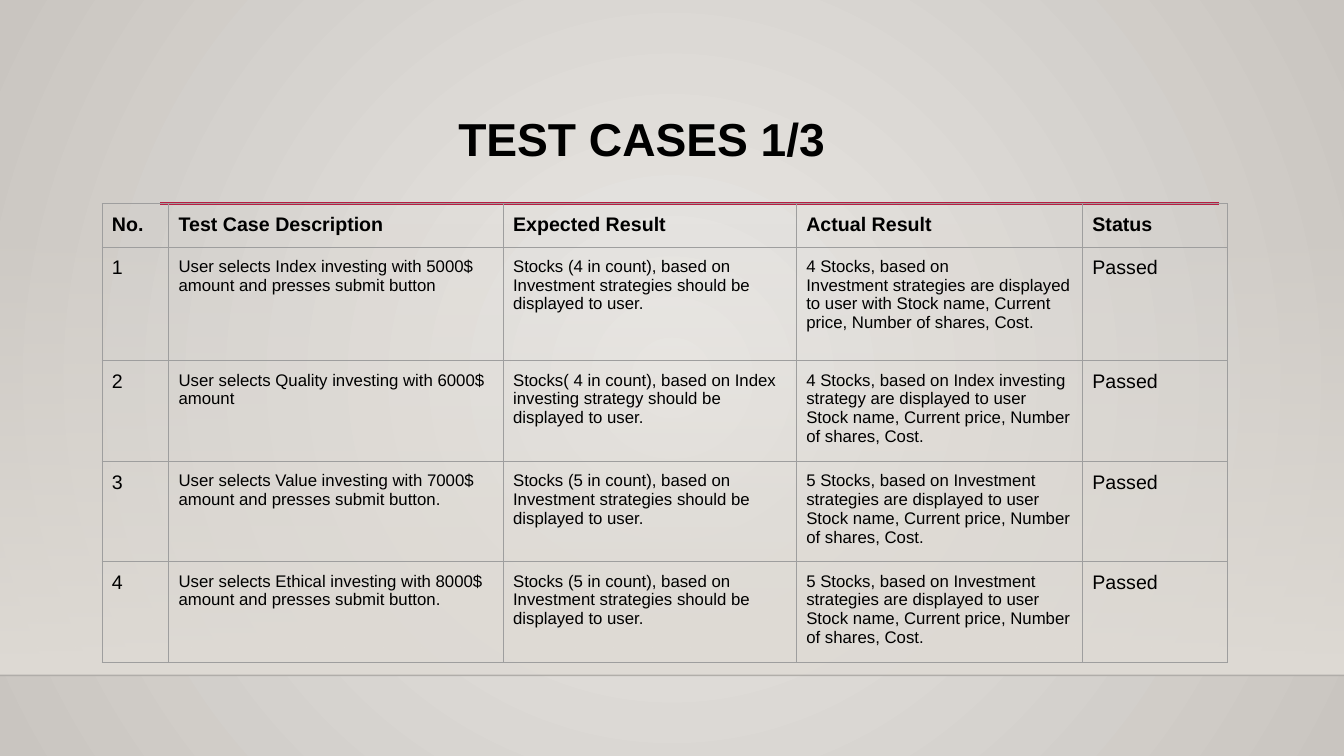
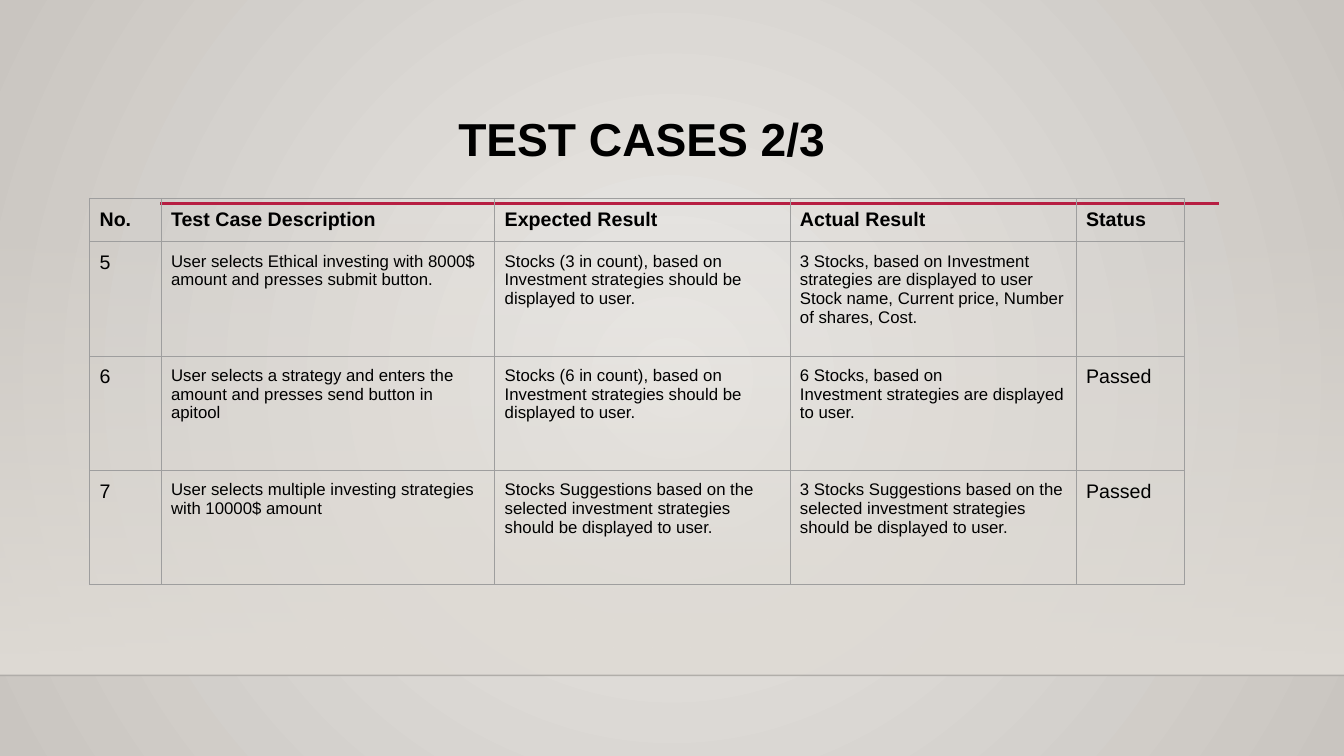
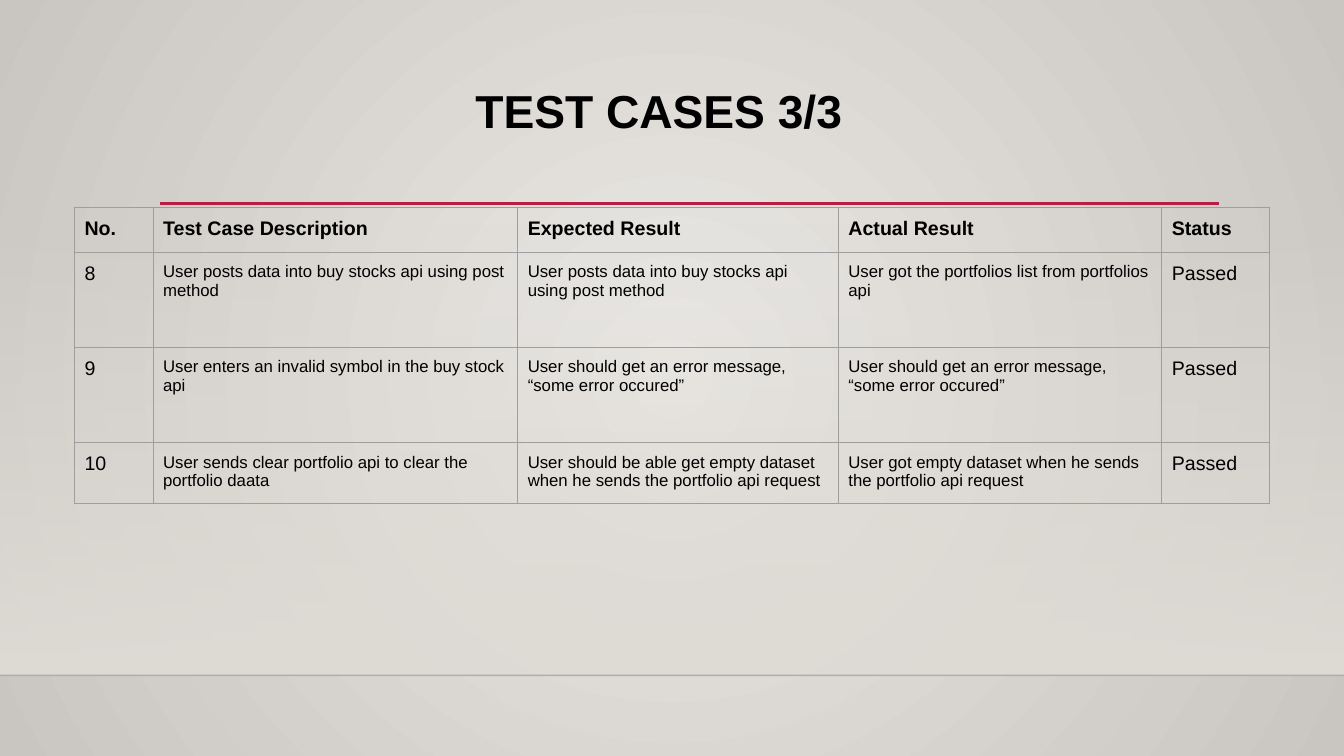
from dataclasses import dataclass

from lxml.etree import SubElement
from pptx import Presentation
from pptx.dml.color import RGBColor
from pptx.enum.shapes import MSO_CONNECTOR, MSO_SHAPE
from pptx.enum.text import MSO_ANCHOR
from pptx.oxml.ns import qn
from pptx.util import Cm, Pt

FONT = "Arial"
BLACK = "000000"
RED = "B71E42"
GREY = "9E9E9E"
BAND = "DFDBD5"
BG_INNER, BG_OUTER = "EBE9E6", "C9C5C0"
SLIDE_W, SLIDE_H = 33.87, 19.05
BAND_TOP, BAND_BOTTOM = 5.61, 17.02
RULE_Y = 5.13
HEADERS = ("No.", "Test Case Description", "Expected Result", "Actual Result", "Status")
SHOWN = "Stocks, based on Investment strategies are displayed to user Stock name, Current price, Number of shares, Cost."
ERROR = "User should get an error message, “some error occured”"
BUY = "User posts data into buy stocks api using post method"
ETHICAL = "User selects Ethical investing with 8000$ amount and presses submit button."


@dataclass(frozen=True)
class TestCase:
    description: str
    expected: str
    actual: str
    status: str = "Passed"


@dataclass(frozen=True)
class CasePage:
    title_at: tuple[float, float]
    table_at: tuple[float, float]
    cols: tuple[float, ...]
    rows: tuple[float, ...]
    cases: tuple[TestCase, ...]


def expected_stocks(count: int) -> str:
    return f"Stocks ({count} in count), based on Investment strategies should be displayed to user."


PAGES = (
    CasePage((11.3, 2.82), (2.57, 5.13), (1.68, 8.43, 7.39, 7.21, 3.66), (1.06, 2.87, 2.4, 2.4, 2.4), (
        TestCase("User selects Index investing with 5000$ amount and presses submit button",
                 expected_stocks(4),
                 "4 Stocks, based on\nInvestment strategies are displayed to user with Stock name, "
                 "Current price, Number of shares, Cost."),
        TestCase("User selects Quality investing with 6000$ amount",
                 "Stocks( 4 in count), based on Index investing strategy should be displayed to user.",
                 "4 Stocks, based on Index investing strategy are displayed to user Stock name, "
                 "Current price, Number of shares, Cost."),
        TestCase("User selects Value investing with 7000$ amount and presses submit button.",
                 expected_stocks(5), f"5 {SHOWN}"),
        TestCase(ETHICAL, expected_stocks(5), f"5 {SHOWN}"),
    )),
    CasePage((11.3, 2.82), (2.26, 5.0), (1.8, 8.41, 7.44, 7.21, 2.74), (1.06, 2.88, 2.88, 2.88), (
        TestCase(ETHICAL, expected_stocks(3), f"3 {SHOWN}", ""),
        TestCase("User selects a strategy and enters the amount and presses send button in apitool",
                 expected_stocks(6),
                 "6 Stocks, based on\nInvestment strategies are displayed to user."),
        TestCase("User selects multiple investing strategies with 10000$ amount",
                 "Stocks Suggestions based on the selected investment strategies should be displayed to user.",
                 "3 Stocks Suggestions based on the selected investment strategies should be displayed to user."),
    )),
    CasePage((11.73, 2.11), (1.88, 5.23), (1.98, 9.19, 8.08, 8.15, 2.72), (1.13, 2.4, 2.4, 1.49), (
        TestCase(BUY, BUY, "User got the portfolios list from portfolios api"),
        TestCase("User enters an invalid symbol in the buy stock api", ERROR, ERROR),
        TestCase("User sends clear portfolio api to clear the portfolio daata",
                 "User should be able get empty dataset when he sends the portfolio api request",
                 "User got empty dataset when he sends the portfolio api request"),
    )),
)


def rgb(value: str) -> RGBColor:
    return RGBColor.from_string(value)


def set_alpha(element, percent: int) -> None:
    for color in element.iter(qn("a:srgbClr")):
        SubElement(color, qn("a:alpha")).set("val", str(percent * 1000))


def set_gradient(fill, *colors: str) -> None:
    fill.gradient()
    for stop, color in zip(fill.gradient_stops, colors):
        stop.color.rgb = rgb(color)


def set_background(master) -> None:
    set_gradient(master.background.fill, BG_INNER, BG_OUTER)
    grad = master.element.find(".//" + qn("a:gradFill"))
    grad.remove(grad.find(qn("a:lin")))
    circle = SubElement(grad, qn("a:path"))
    circle.set("path", "circle")
    center = SubElement(circle, qn("a:fillToRect"))
    for side in "ltrb":
        center.set(side, "50000")


def format_text(tf, size: float, bold: bool) -> None:
    for p in tf.paragraphs:
        for r in p.runs:
            r.font.name = FONT
            r.font.size = Pt(size)
            r.font.bold = bold
            r.font.color.rgb = rgb(BLACK)


def add_rule(slide, x1: float, x2: float, y: float, color: str, width: float):
    line = slide.shapes.add_connector(MSO_CONNECTOR.STRAIGHT, Cm(x1), Cm(y), Cm(x2), Cm(y))
    line.line.color.rgb = rgb(color)
    line.line.width = Pt(width)
    SubElement(line.element.spPr, qn("a:effectLst"))
    return line


def add_backdrop(slide) -> None:
    sp = slide.shapes.add_shape(MSO_SHAPE.RECTANGLE, 0, Cm(BAND_TOP), Cm(SLIDE_W), Cm(BAND_BOTTOM - BAND_TOP))
    sp.shadow.inherit = False
    sp.line.fill.background()
    set_gradient(sp.fill, BAND, BAND)
    sp.fill.gradient_angle = 270
    set_alpha(sp.element.spPr.find(".//" + qn("a:gs")), 0)
    floor = add_rule(slide, 0, SLIDE_W, BAND_BOTTOM, "000001", 1)
    set_alpha(floor.element.spPr, 20)
    add_rule(slide, 4.04, 30.73, RULE_Y, RED, 2.5)


def add_title(slide, text: str, at: tuple[float, float]) -> None:
    tf = slide.shapes.add_textbox(Cm(at[0]), Cm(at[1]), Cm(18.97), Cm(2.4)).text_frame
    tf.word_wrap = True
    tf.vertical_anchor = MSO_ANCHOR.TOP
    tf.text = text
    tf.paragraphs[0].line_spacing = 0.9
    format_text(tf, 33, True)


def set_borders(cell) -> None:
    tc_pr = cell._tc.get_or_add_tcPr()
    for i, side in enumerate("LRTB"):
        ln = SubElement(tc_pr, qn(f"a:ln{side}"))
        ln.set("w", str(Pt(0.75)))
        SubElement(SubElement(ln, qn("a:solidFill")), qn("a:srgbClr")).set("val", GREY)
        tc_pr.insert(i, ln)


def fill_cell(cell, text: str, size: float, bold: bool) -> None:
    cell.margin_left = cell.margin_right = cell.margin_top = cell.margin_bottom = Cm(0.25)
    cell.fill.background()
    set_borders(cell)
    cell.text = text
    format_text(cell.text_frame, size, bold)


def add_case_table(slide, page: CasePage, first_no: int) -> None:
    left, top = page.table_at
    table = slide.shapes.add_table(len(page.rows), len(page.cols), Cm(left), Cm(top),
                                   Cm(sum(page.cols)), Cm(sum(page.rows))).table
    table.first_row = table.horz_banding = False
    for column, width in zip(table.columns, page.cols):
        column.width = Cm(width)
    for row, height in zip(table.rows, page.rows):
        row.height = Cm(height)
    lines = [HEADERS] + [(str(no), case.description, case.expected, case.actual, case.status)
                         for no, case in enumerate(page.cases, first_no)]
    for i, texts in enumerate(lines):
        for j, text in enumerate(texts):
            size = 12 if i > 0 and 1 <= j <= 3 else 14
            fill_cell(table.cell(i, j), text, size, i == 0)


def main() -> None:
    """Build the test case slides and save them."""
    prs = Presentation()
    prs.slide_width, prs.slide_height = Cm(SLIDE_W), Cm(SLIDE_H)
    set_background(prs.slide_master)
    first_no = 1
    for number, page in enumerate(PAGES, 1):
        slide = prs.slides.add_slide(prs.slide_layouts[6])
        add_backdrop(slide)
        add_title(slide, f"TEST CASES {number}/{len(PAGES)}", page.title_at)
        add_case_table(slide, page, first_no)
        first_no += len(page.cases)
    prs.save("out.pptx")


if __name__ == "__main__":
    main()
